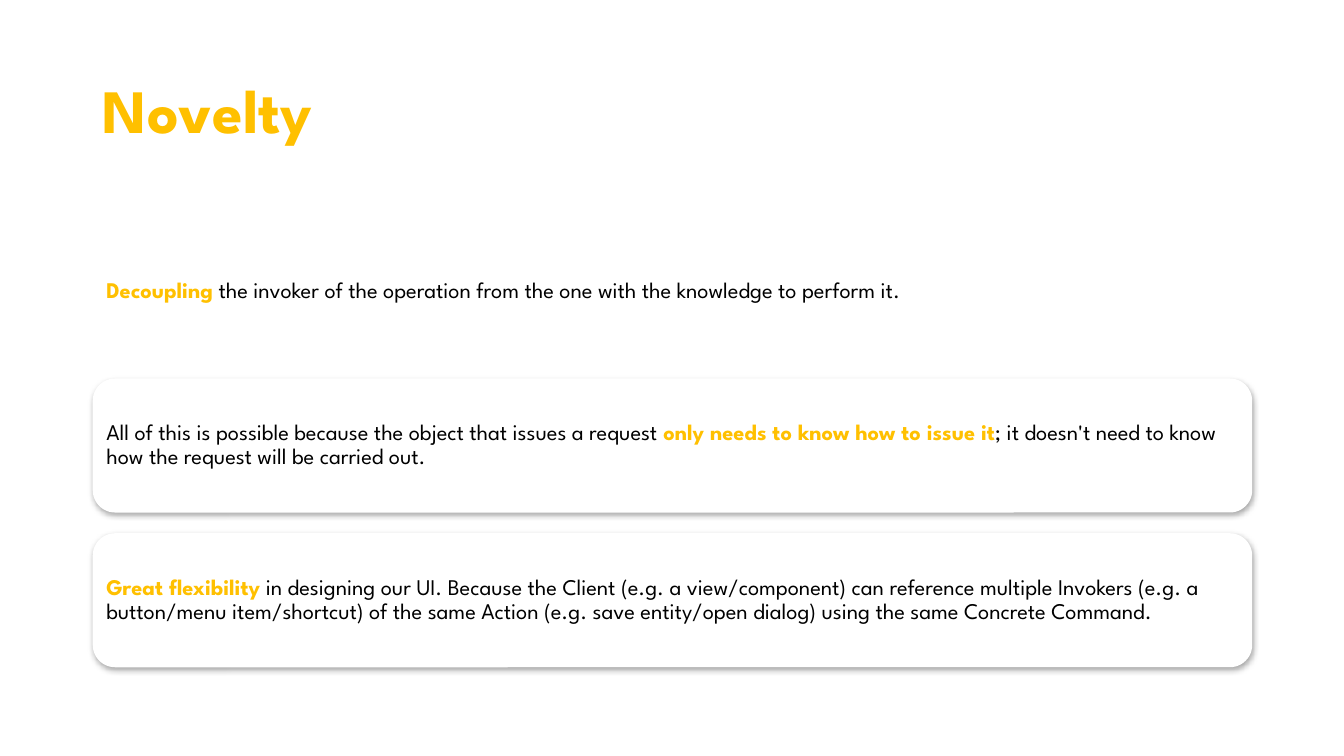
import pptx
import pptx.dml.color
import pptx.enum.shapes
import pptx.enum.text
import pptx.oxml
import pptx.oxml.ns
import pptx.util

W, H = 13.33, 7.5
COLORS = {"accent": "FFC000", "text": "000000", "card": "FFFFFF", "shadow": "000000"}
FONT = "League Spartan"

# Grid: one column, three equal rows
LEFT, WIDTH = 0.92, 11.5
ROW_TOP, ROW_PITCH, ROW_HEIGHT = 2.22, 1.535, 1.33
PAD = 0.065

# Each statement is a list of (text, highlighted) parts
STATEMENTS = [
    [("Decoupling", True),
     (" the invoker of the operation from the one with the knowledge to perform it.", False)],
    [("All of this is possible because the object that issues a request ", False),
     ("only needs to know how to issue it", True),
     ("; it doesn't need to know how the request will be carried out.", False)],
    [("Great flexibility", True),
     (" in designing our UI. Because the Client (e.g. a view/component) can reference "
      "multiple Invokers (e.g. a button/menu item/shortcut) of the same Action "
      "(e.g. save entity/open dialog) using the same Concrete Command.", False)],
]


def rgb(name):
    return pptx.dml.color.RGBColor.from_string(COLORS[name])


def box(x, y, w, h):
    return [pptx.util.Inches(v) for v in (x, y, w, h)]


def add_run(p, text, size=16, color="text", bold=False):
    r = p.add_run()
    r.text = text
    r.font.name = FONT
    r.font.size = pptx.util.Pt(size)
    r.font.bold = bold
    r.font.color.rgb = rgb(color)


def add_text(s, parts, x, y, w, h, size=16, inset=0.07):
    tf = s.shapes.add_textbox(*box(x, y, w, h)).text_frame
    tf.word_wrap = True
    tf.vertical_anchor = pptx.enum.text.MSO_ANCHOR.MIDDLE
    tf.margin_left = tf.margin_right = pptx.util.Inches(inset)
    tf.margin_top = tf.margin_bottom = pptx.util.Inches(inset)
    p = tf.paragraphs[0]
    p.line_spacing = 0.9
    for text, highlighted in parts:
        add_run(p, text, size=size, bold=highlighted,
                color="accent" if highlighted else "text")


def add_card(s, x, y, w, h):
    sp = s.shapes.add_shape(pptx.enum.shapes.MSO_SHAPE.ROUNDED_RECTANGLE, *box(x, y, w, h))
    sp.fill.solid()
    sp.fill.fore_color.rgb = rgb("card")
    sp.line.fill.background()
    # Soft shadow falling slightly downwards
    sp._element.spPr.append(pptx.oxml.parse_xml(
        f'<a:effectLst {pptx.oxml.ns.nsdecls("a")}>'
        '<a:outerShdw blurRad="57150" dist="19050" dir="5400000" algn="ctr" rotWithShape="0">'
        f'<a:srgbClr val="{COLORS["shadow"]}"><a:alpha val="35000"/></a:srgbClr>'
        '</a:outerShdw></a:effectLst>'))


def main():
    prs = pptx.Presentation()
    prs.slide_width, prs.slide_height = pptx.util.Inches(W), pptx.util.Inches(H)
    s = prs.slides.add_slide(prs.slide_layouts[6])

    # Title
    add_text(s, [("Novelty", True)], LEFT, 0.4, WIDTH, 1.45, size=44, inset=0.1)

    # Statements: the first stands free, the others sit on cards
    for i, parts in enumerate(STATEMENTS):
        y = ROW_TOP + i * ROW_PITCH
        if i > 0:
            add_card(s, LEFT, y, WIDTH, ROW_HEIGHT)
        add_text(s, parts, LEFT + PAD, y + PAD, WIDTH - 2 * PAD, ROW_HEIGHT - 2 * PAD)

    prs.save("out.pptx")


if __name__ == "__main__":
    main()
